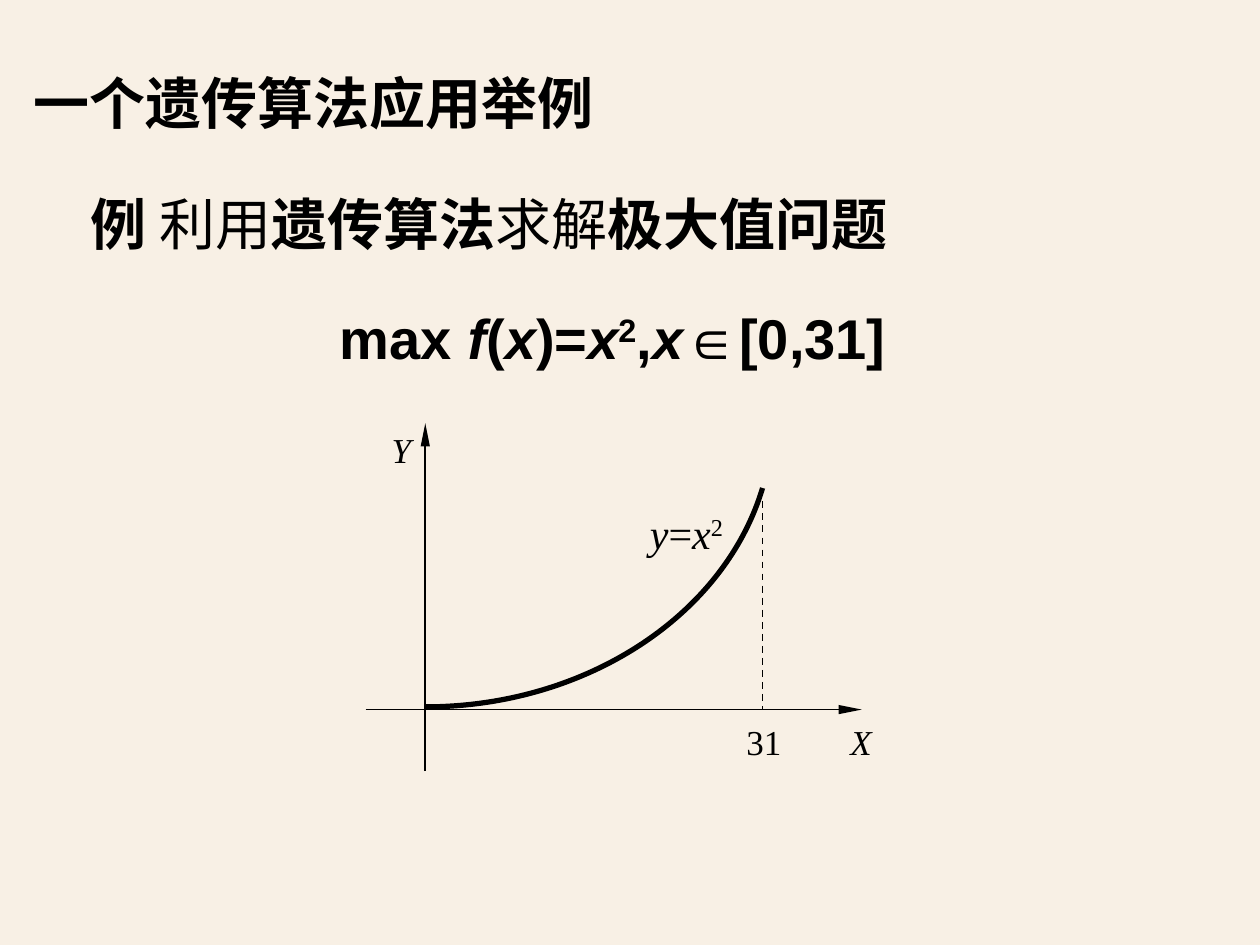
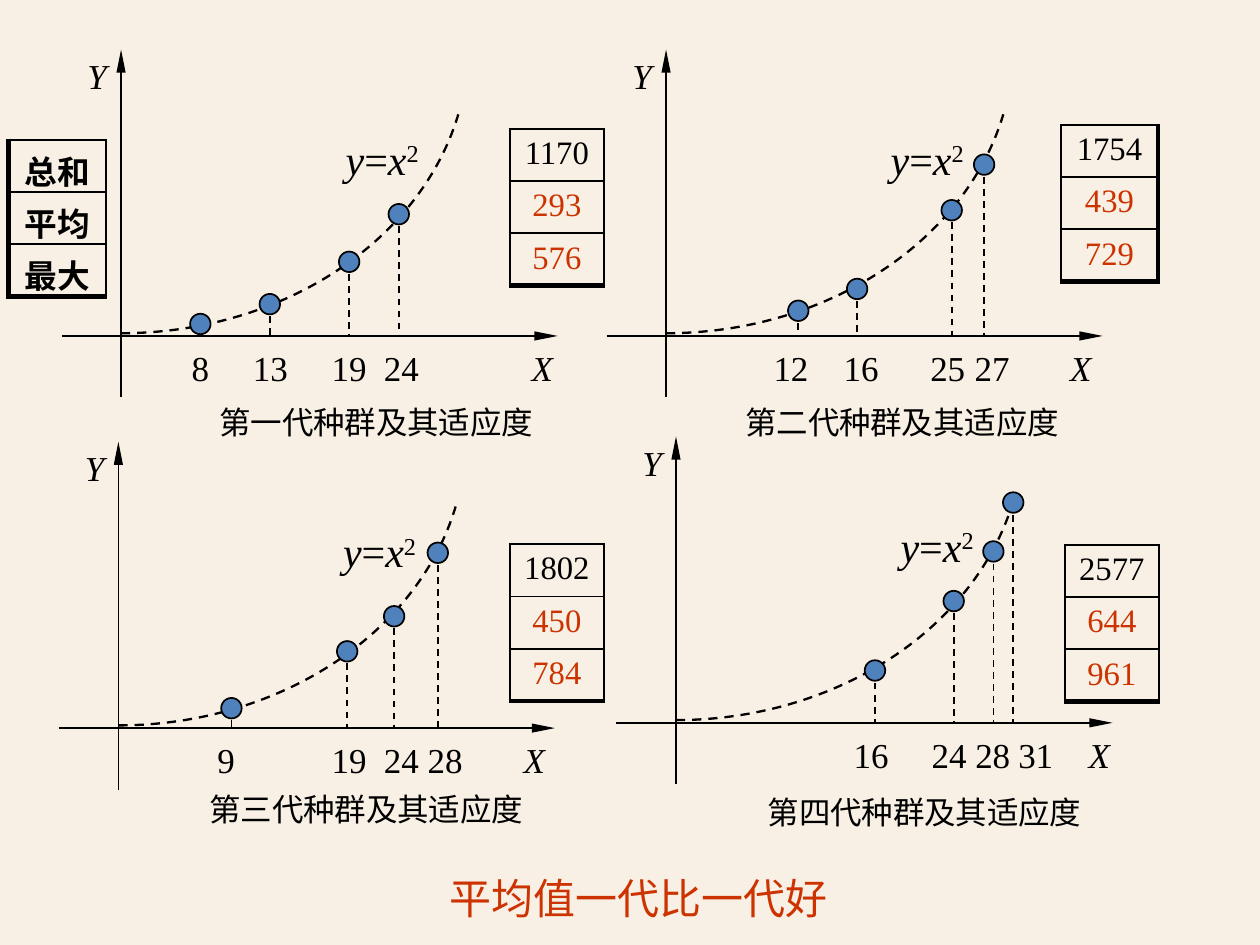
"""Two slides on a genetic algorithm that maximises x squared."""
from lxml import etree
from pptx import Presentation
from pptx.dml.color import RGBColor
from pptx.enum import dml, shapes, text
from pptx.oxml import ns
from pptx.util import Cm, Pt

BLACK = RGBColor(0x00, 0x00, 0x00)
CREAM = RGBColor(0xF8, 0xF0, 0xE5)
BLUE = RGBColor(0x4F, 0x81, 0xBD)
RED = RGBColor(0xCC, 0x33, 0x00)
SERIF, SANS, HAN = "Times New Roman", "Arial", "Noto Sans CJK SC"
THIN, HEAVY = 1, 2.25

TITLE = "一个遗传算法应用举例"
TASK = [("例 ", "b", SERIF), ("利用", "", SERIF), ("遗传算法", "b", SERIF),
        ("求解", "", SERIF), ("极大值问题", "b", SANS)]
FORMULA = [(part, style, SANS) for part, style in [
    ("max ", "b"), ("f", "bi"), ("(", "b"), ("x", "bi"), (")=", "b"), ("x", "bi"),
    ("2", "b^"), (",", "b"), ("x∈", "bi"), ("[0,31]", "b")]]
CURVE_LABEL = [("y", "i", SERIF), ("=", "", SERIF), ("x", "i", SERIF), ("2", "^", SERIF)]
CONCLUSION = "平均值一代比一代好"
MEASURES = ["总和", "平均", "最大"]

# Offsets from the origin of a plot, in cm: control points run from the origin to x = 31.
CURVE = [(0, 0.04), (2.41, 0.04), (4.52, 1.41), (5.1, 3.35)]
X_AXIS, Y_AXIS = (-0.9, 6.6), (-0.93, 4.33)
TICK_LABEL = -0.16
DOT = 0.31
ROW = 0.79

# Each individual: value, label x, point x, point height.
EXAMPLE = {"origin": (6.43, 10.73), "x_at": 6.59, "population": [(31, 5.12, 5.1, 3.33)]}
GENERATIONS = [
    {"origin": (1.83, 5.08), "x_at": 6.37,
     "population": [(8, 1.2, 1.2, 0.18), (13, 2.26, 2.25, 0.48),
                    (19, 3.45, 3.45, 1.12), (24, 4.24, 4.2, 1.84)],
     "caption": ("第一代种群及其适应度", 3.32, 6.1),
     "fitness": ([1170, 293, 576], 7.71, 1.95, 1.42, "B")},
    {"origin": (10.07, 5.08), "x_at": 6.27,
     "population": [(12, 1.89, 2, 0.38), (16, 2.95, 2.89, 0.71),
                    (25, 4.26, 4.32, 1.9), (27, 4.93, 4.81, 2.59)],
     "caption": ("第二代种群及其适应度", 11.27, 6.1),
     "fitness": ([1754, 439, 729], 16.04, 1.89, 1.47, "RB")},
    {"origin": (1.79, 11.01), "x_at": 6.29,
     "population": [(9, 1.63, 1.71, 0.3), (19, 3.49, 3.46, 1.16),
                    (24, 4.28, 4.17, 1.69), (28, 4.94, 4.83, 2.65)],
     "caption": ("第三代种群及其适应度", 3.17, 11.94),
     "fitness": ([1802, 450, 784], 7.71, 8.23, 1.42, "B")},
    {"origin": (10.22, 10.93), "x_at": 6.4,
     "population": [(16, 2.95, 3.01, 0.79), (24, 4.13, 4.2, 1.84),
                    (28, 4.79, 4.8, 2.59), (31, 5.44, 5.1, 3.33)],
     "caption": ("第四代种群及其适应度", 11.61, 11.99),
     "fitness": ([2577, 644, 961], 16.1, 8.24, 1.42, "B")},
]


def format_run(run, size, style="", font=SERIF, color=BLACK):
    """Apply font, size, colour and the style letters b, i and ^."""
    run.font.name, run.font.size = font, Pt(size)
    run.font.bold, run.font.italic = "b" in style, "i" in style
    run.font.color.rgb = color
    properties = run.font._element
    etree.SubElement(properties, ns.qn("a:ea")).set("typeface", HAN)
    if "^" in style:
        properties.set("baseline", "30000")


def fill_paragraph(paragraph, parts, size, color=BLACK):
    """Add the (text, style, font) parts as runs."""
    for words, style, font in parts:
        run = paragraph.add_run()
        run.text = words
        format_run(run, size, style, font, color)


def write(slide, parts, left, top, width, height, size, color=BLACK, centred=False):
    """Place a text box without insets and return its frame."""
    frame = slide.shapes.add_textbox(Cm(left), Cm(top), Cm(width), Cm(height)).text_frame
    frame.word_wrap = True
    frame.margin_left = frame.margin_right = frame.margin_top = frame.margin_bottom = 0
    fill_paragraph(frame.paragraphs[0], parts, size, color)
    if centred:
        frame.paragraphs[0].alignment = text.PP_ALIGN.CENTER
    return frame


def draw_line(slide, start, end, arrow=False, dashed=False):
    """Draw a thin straight line, with an arrowhead or dashes if asked."""
    line = slide.shapes.add_connector(
        shapes.MSO_CONNECTOR.STRAIGHT, *(Cm(value) for value in (*start, *end)))
    line.line.color.rgb, line.line.width = BLACK, Pt(0.75)
    if dashed:
        line.line.dash_style = dml.MSO_LINE.DASH
    if arrow:
        head = etree.SubElement(line.line._get_or_add_ln(), ns.qn("a:tailEnd"))
        for key, value in (("type", "triangle"), ("w", "sm"), ("len", "lg")):
            head.set(key, value)
    etree.SubElement(line._element.spPr, ns.qn("a:effectLst"))


def draw_curve(slide, at, weight, dashed):
    """Draw one cubic segment through the control points."""
    points = [tuple(Cm(value) for value in at(x, y)) for x, y in CURVE]
    builder = slide.shapes.build_freeform(*points[0])
    builder.add_line_segments(points[1:], close=False)
    curve = builder.convert_to_shape()
    outline = next(curve._element.iter(ns.qn("a:path")))
    cubic = etree.SubElement(outline, ns.qn("a:cubicBezTo"))
    for segment in outline.findall(ns.qn("a:lnTo")):
        cubic.append(segment[0])
        outline.remove(segment)
    curve.shadow.inherit = False
    curve.fill.background()
    curve.line.color.rgb, curve.line.width = BLACK, Pt(weight)
    if dashed:
        curve.line.dash_style = dml.MSO_LINE.DASH


def draw_plot(slide, plot, weight, dashed, dots):
    """Draw axes, curve, drop lines, labels and points around one origin."""
    left, base = plot["origin"]

    def at(x, y):
        return left + x, base - y

    def label(parts, x, y, size, width=1.2):
        centre, top = at(x, y)
        write(slide, parts, centre - width / 2, top, width, 0.65, size, centred=True)

    draw_line(slide, at(X_AXIS[0], 0), at(X_AXIS[1], 0), arrow=True)
    draw_line(slide, at(0, Y_AXIS[0]), at(0, Y_AXIS[1]), arrow=True)
    draw_curve(slide, at, weight, dashed)
    label([("Y", "i", SERIF)], -0.36, 4.25, 15)
    label([("X", "i", SERIF)], plot["x_at"], TICK_LABEL, 15)
    label(CURVE_LABEL, 3.95, 3.06, 18, width=2)
    for value, label_x, x, height in plot["population"]:
        draw_line(slide, at(x, height), at(x, 0), dashed=True)
        label([(str(value), "", SERIF)], label_x, TICK_LABEL, 15)
        if dots:
            x, y = at(x, height)
            dot = slide.shapes.add_shape(shapes.MSO_SHAPE.OVAL, Cm(x - DOT / 2),
                                         Cm(y - DOT / 2), Cm(DOT), Cm(DOT))
            dot.shadow.inherit = False
            dot.fill.solid()
            dot.fill.fore_color.rgb = BLUE
            dot.line.color.rgb, dot.line.width = BLACK, Pt(0.75)


def set_borders(cell, heavy):
    """Give a cell black borders, heavy on the sides named."""
    properties = cell._tc.get_or_add_tcPr()
    for side in "LRTB":
        border = etree.SubElement(properties, ns.qn(f"a:ln{side}"))
        border.set("w", str(Pt(HEAVY if side in heavy else THIN)))
        fill = etree.SubElement(border, ns.qn("a:solidFill"))
        etree.SubElement(fill, ns.qn("a:srgbClr")).set("val", str(BLACK))


def add_column(slide, entries, left, top, width, heavy, style="", accent=RED):
    """Add a one-column table whose entries below the first take the accent."""
    table = slide.shapes.add_table(len(entries), 1, Cm(left), Cm(top), Cm(width),
                                   Cm(ROW * len(entries))).table
    table.first_row = table.horz_banding = False
    for index, entry in enumerate(entries):
        cell = table.cell(index, 0)
        last = index == len(entries) - 1
        set_borders(cell, heavy if last else heavy.replace("B", ""))
        cell.fill.background()
        cell.margin_left = cell.margin_right = Cm(0.1)
        cell.margin_top, cell.margin_bottom = Cm(0.1), 0
        paragraph = cell.text_frame.paragraphs[0]
        paragraph.text = str(entry)
        paragraph.alignment = text.PP_ALIGN.CENTER
        format_run(paragraph.runs[0], 14, style, color=accent if index else BLACK)


def build_example(slide):
    """State the problem and show its curve."""
    write(slide, [(TITLE, "b", HAN)], 0.51, 1.04, 9.5, 1.23, 24)
    frame = write(slide, TASK, 1.37, 2.57, 16.3, 3.5, 24)
    formula = frame.add_paragraph()
    fill_paragraph(formula, FORMULA, 24)
    formula.space_before = Pt(12)
    formula._p.get_or_add_pPr().set("marL", str(Cm(3.77)))
    for paragraph in frame.paragraphs:
        paragraph.line_spacing = Pt(37)
    draw_plot(slide, EXAMPLE, HEAVY, dashed=False, dots=False)


def build_generations(slide):
    """Show four generations with their fitness."""
    for generation in GENERATIONS:
        draw_plot(slide, generation, THIN, dashed=True, dots=True)
        caption, left, top = generation["caption"]
        write(slide, [(caption, "", SANS)], left, top, 5.1, 0.59, 13.5)
        add_column(slide, *generation["fitness"])
    add_column(slide, MEASURES, 0.13, 2.11, 1.47, "LB", style="b", accent=BLACK)
    write(slide, [(CONCLUSION, "", SANS)], 1.7, 13.19, 15.9, 0.92, 18, RED, centred=True)


def add_backdrop(deck, slide):
    """Put a cream panel at the back of the slide master."""
    panel = slide.shapes.add_shape(shapes.MSO_SHAPE.RECTANGLE, 0, 0,
                                   deck.slide_width, deck.slide_height)
    panel.shadow.inherit = False
    panel.fill.solid()
    panel.fill.fore_color.rgb = CREAM
    panel.line.fill.background()
    deck.slide_master.shapes._spTree.insert(2, panel._element)


def main():
    """Build and save the presentation."""
    deck = Presentation()
    deck.slide_width, deck.slide_height = Cm(19.05), Cm(14.29)
    example, generations = (deck.slides.add_slide(deck.slide_layouts[6]) for _ in range(2))
    add_backdrop(deck, example)
    build_example(example)
    build_generations(generations)
    deck.save("out.pptx")


if __name__ == "__main__":
    main()
